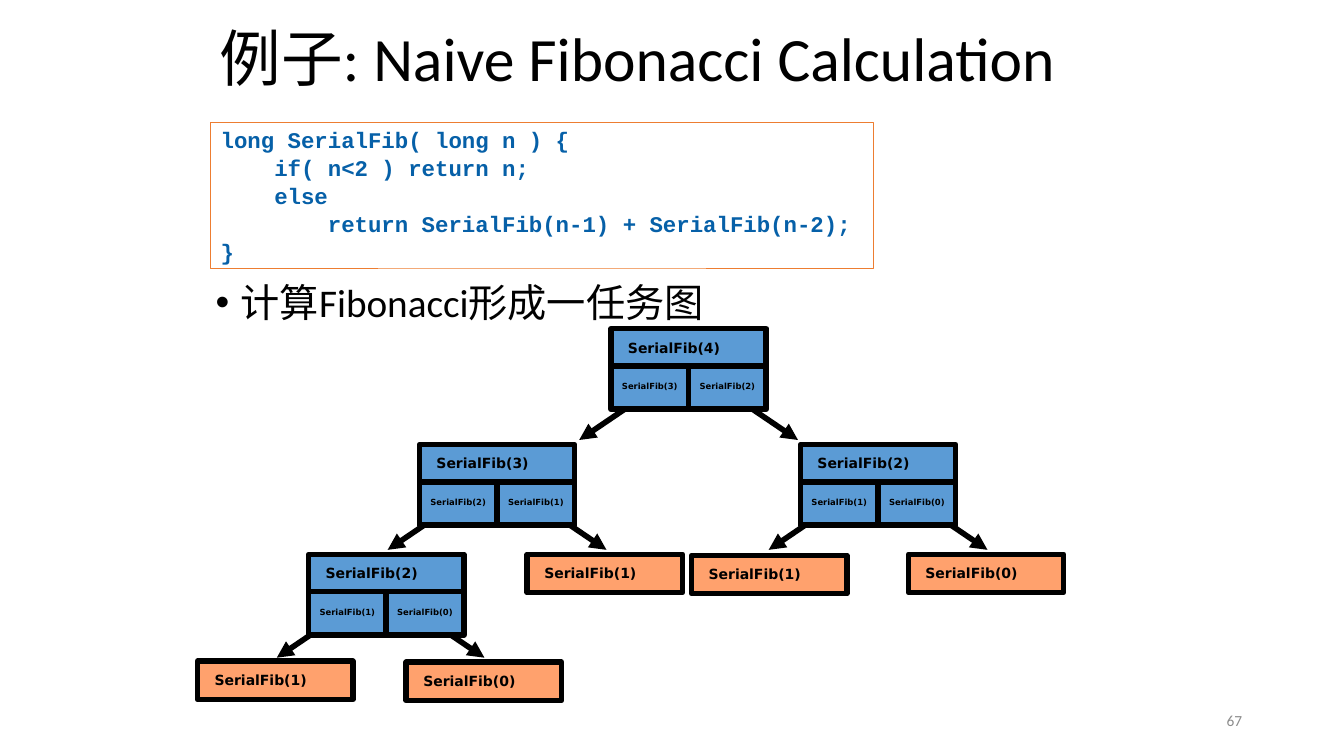
from pptx import Presentation
from pptx import util as u
from pptx.dml.color import RGBColor
from pptx.enum import shapes, text
from pptx.oxml import parse_xml
from pptx.oxml.ns import nsdecls

HUES = {"ink": "000000", "blue": "5B9BD5", "peach": "FFA16D",
        "code": "0660A8", "edge": "ED7D31", "grey": "8C8C8C"}

deck = Presentation()
deck.slide_width, deck.slide_height = u.Inches(13.33), u.Inches(7.5)
slide = deck.slides.add_slide(deck.slide_layouts[6])
COL, ROW = deck.slide_width / 100, deck.slide_height / 100
TINT = {name: RGBColor.from_string(code) for name, code in HUES.items()}


def write(words, x, y, wide, high, size, font="Calibri", hue="ink", bold=False,
          align="LEFT", anchor="TOP", space=1.0, bullet=False, edge=None):
    box = slide.shapes.add_textbox(int(x * COL), int(y * ROW),
                                   int(wide * COL), int(high * ROW))
    frame = box.text_frame
    frame.word_wrap = True
    frame.vertical_anchor = getattr(text.MSO_ANCHOR, anchor)
    if align == "LEFT":
        frame.margin_right = 0
    if edge:
        box.line.color.rgb = TINT[edge]
        box.line.width = u.Pt(0.5)
    frame.text = words
    for para in frame.paragraphs:
        if bullet:
            props = para._p.get_or_add_pPr()
            props.set("marL", str(u.Inches(0.25)))
            props.set("indent", str(-u.Inches(0.25)))
            props.append(parse_xml(f'<a:buFont {nsdecls("a")} typeface="Arial"/>'))
            props.append(parse_xml(f'<a:buChar {nsdecls("a")} char="•"/>'))
        para.alignment = getattr(text.PP_ALIGN, align)
        para.line_spacing = space
        for run in para.runs:
            run.font.name, run.font.size = font, u.Pt(size)
            run.font.bold = bold
            run.font.color.rgb = TINT[hue]


def draw(x1, y1, x2, y2, arrow=False):
    line = slide.shapes.add_connector(
        shapes.MSO_CONNECTOR.STRAIGHT,
        int(x1 * COL), int(y1 * ROW), int(x2 * COL), int(y2 * ROW))
    line.line.color.rgb = TINT["ink"]
    line.line.width = u.Pt(4)
    if arrow:
        line.line._get_or_add_ln().append(
            parse_xml(f'<a:tailEnd {nsdecls("a")} type="triangle"/>'))
    line._element.spPr.append(parse_xml(f'<a:effectLst {nsdecls("a")}/>'))


write("例子: Naive Fibonacci Calculation", 15.6, 2.27, 65.94, 11.73, 44,
      anchor="MIDDLE", space=0.9)
write("计算Fibonacci形成一任务图", 15.3, 36.8, 43.36, 8.53, 28, space=0.9, bullet=True)

forks = [(45.46, 43.47, 4, 4.93, 0), (31.21, 58.8, 3, 4.13, 0),
         (59.56, 58.8, 2, 4.13, 0), (22.96, 73.33, 2, 3.87, 0.83)]
leaves = [(39.23, 73.33, 1), (51.46, 73.47, 1), (67.59, 73.33, 0),
          (14.7, 87.47, 1), (30.23, 87.6, 0)]
WIDE, TALL, LOW = 11.55, 10.67, 5.07
HALF, BAR = WIDE / 2, 4.93
RUN, DROP = 8.14, 9.8

for x, y, n, start, shift in forks:
    mid, top = x + HALF, y + start
    draw(mid, top, mid - RUN, top + DROP, arrow=True)
    draw(mid - shift, top, mid - shift + RUN, top + DROP, arrow=True)

nodes = [(x, y, n, TALL, "blue") for x, y, n, start, shift in forks]
nodes += [(x, y, n, LOW, "peach") for x, y, n in leaves]
for x, y, n, high, hue in nodes:
    card = slide.shapes.add_shape(shapes.MSO_SHAPE.RECTANGLE, int(x * COL),
                                  int(y * ROW), int(WIDE * COL), int(high * ROW))
    card.shadow.inherit = False
    card.fill.solid()
    card.fill.fore_color.rgb = TINT[hue]
    card.line.color.rgb = TINT["ink"]
    card.line.width = u.Pt(4)
    write(f"SerialFib({n})", x + 0.53, y + 0.73, 10.35, 3.6, 10,
          font="DejaVu Sans", bold=True)
    if n > 1:
        draw(x, y + BAR, x + WIDE, y + BAR)
        draw(x + HALF, y + BAR, x + HALF, y + TALL)
        for side in range(2):
            write(f"SerialFib({n - 1 - side})", x + 0.08 + side * HALF, y + 6.33,
                  HALF, 2.67, 6, font="DejaVu Sans", bold=True)

code = """long SerialFib( long n ) {
    if( n<2 ) return n;
    else
        return SerialFib(n-1) + SerialFib(n-2);
}"""
write(code, 15.68, 16.13, 49.29, 19.33, 16, font="Courier New", hue="code",
      bold=True, anchor="MIDDLE", space=1.05, edge="edge")
write("67", 70.67, 92.67, 22.5, 5.33, 11, hue="grey", align="RIGHT", anchor="MIDDLE")

deck.save("out.pptx")
